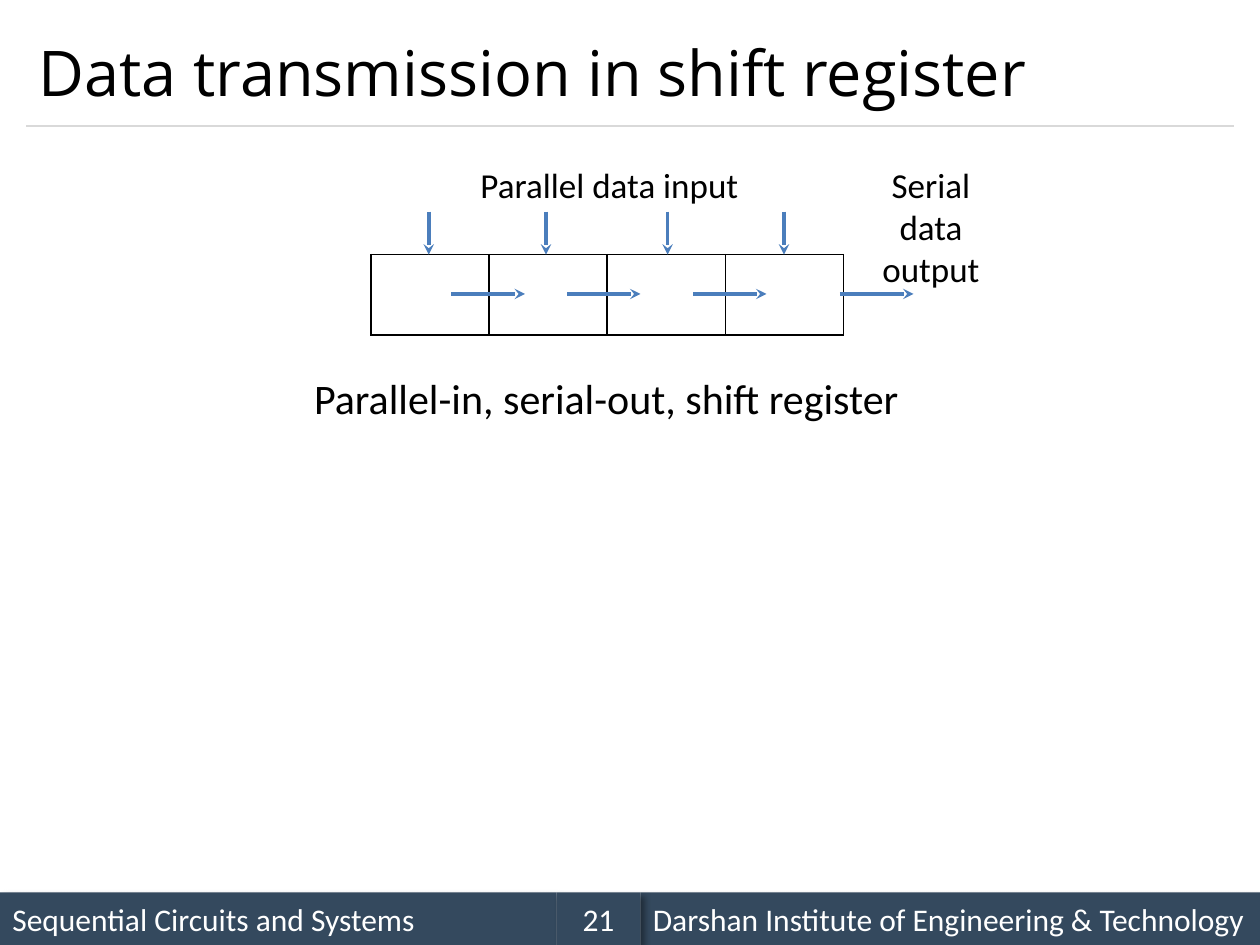
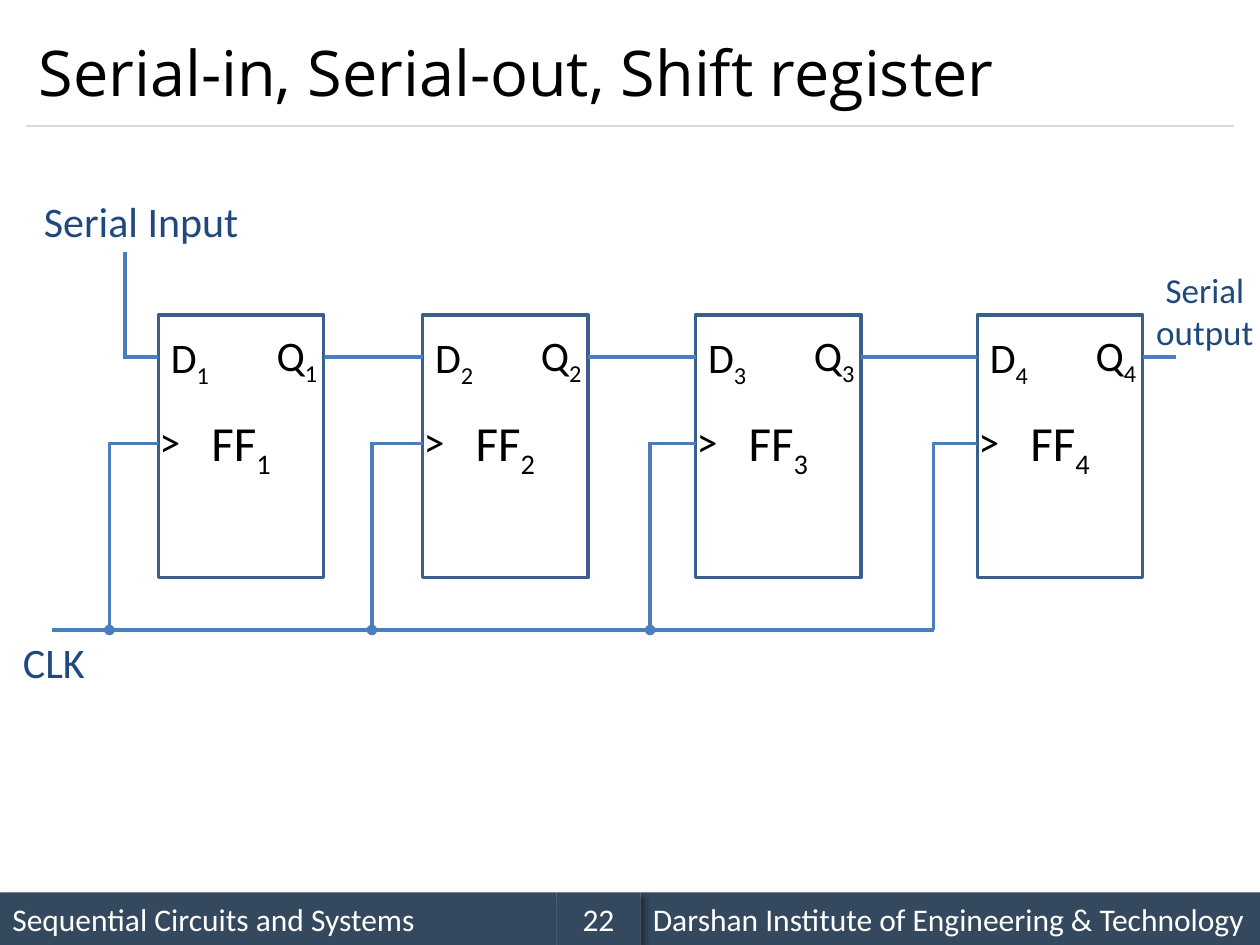
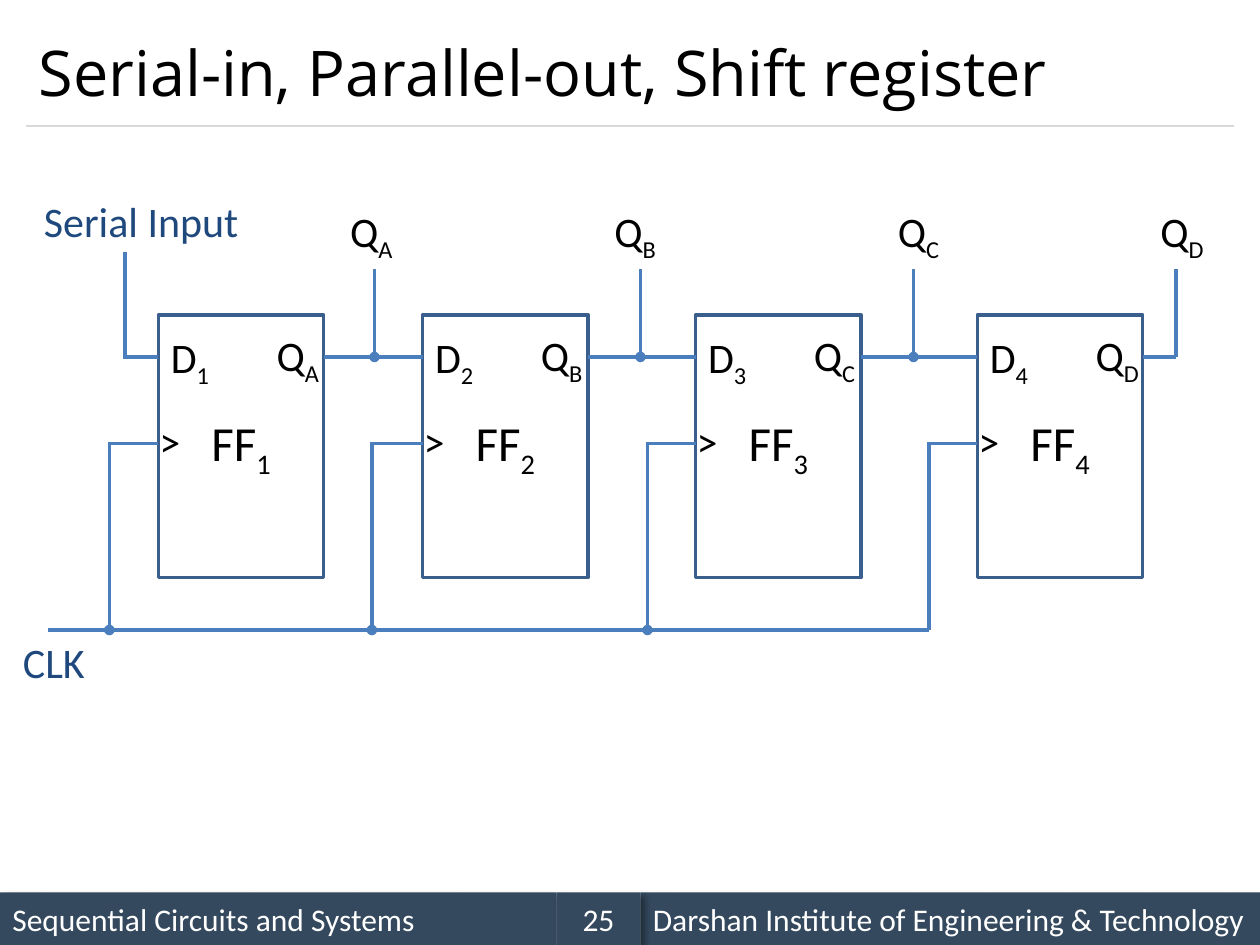
from lxml.etree import SubElement
from pptx import Presentation
from pptx.dml.color import RGBColor
from pptx.enum.shapes import MSO_CONNECTOR, MSO_SHAPE
from pptx.enum.text import MSO_ANCHOR, MSO_AUTO_SIZE, PP_ALIGN
from pptx.oxml import parse_xml
from pptx.oxml.ns import nsdecls, qn
from pptx.util import Pt

# Shared style
BLACK, WHITE = "000000", "FFFFFF"
BAND, RULE = "34495E", "D9D9D9"
WIRE, BOX, LABEL = "4B7EBC", "3A5F8C", "1F497D"
BODY_FONT, TITLE_FONT = "Calibri", "Open Sans"
LEFT, CENTER = PP_ALIGN.LEFT, PP_ALIGN.CENTER

# Footer bands: left, width, alignment, text (None is the page number)
FOOTER = [
    (0, 318, LEFT, "Sequential Circuits and Systems"),
    (366, 354, LEFT, "Darshan Institute of Engineering & Technology"),
    (318, 48, CENTER, None),
]

# Parallel-in, serial-out diagram: left, top, width, height, size, text
TRANSMISSION_LABELS = [
    (167, 209.5, 359, 36, 24, "Parallel-in, serial-out, shift register"),
    (494, 90, 76, 78.5, 20, "Serial data output"),
    (266.5, 90, 163.5, 31.5, 20, "Parallel data input"),
]
CELLS, CELL_W, CELL_H = 4, 67.5, 46
CELL_LEFT, CELL_TOP = 212, 145.5
SHIFT_STARTS, SHIFT_Y, SHIFT_LEN = (258, 324, 396, 480), 168, 42
INPUT_XS, INPUT_TOP = (245, 312, 381.5, 448), 121

# Flip-flop chains
FF_XS = (90.5, 241.5, 397.5, 558.5)
FF_TOP, FF_W, FF_H = 180, 94.5, 150
DATA_Y, CLOCK_Y, BUS_Y = 204, 253.5, 360
INPUT_X, INPUT_Y, OUTPUT_X = 71.5, 144, 672
TAP_TOP, TAP_LABEL_TOP = 153.5, 114

SERIAL_OUT = dict(outputs="1234", bus_left=30, drops=(62.5, 212.5, 371.5, 533.5))
PARALLEL_OUT = dict(outputs="ABCD", bus_left=27.5, drops=(62.5, 212.5, 370, 531))
TAPS = [(214, 193), (366, 344), (522, 506), (672, 656)]  # wire x, label left


def rgb(value):
    return RGBColor.from_string(value)


def add_run(p, text, size, color=BLACK, font=BODY_FONT, sub=False):
    r = p.add_run()
    r.text = text
    r.font.size, r.font.name = Pt(size), font
    r.font.color.rgb = rgb(color)
    if sub:
        r._r.get_or_add_rPr().set("baseline", "-25000")


def add_symbol(p, text, size, color=BLACK, index=""):
    add_run(p, text, size, color)
    if index:
        add_run(p, index, size, color, sub=True)


def add_text(s, x, y, w, h, text, size, color=BLACK, index="", wrap=False):
    sp = s.shapes.add_textbox(Pt(x), Pt(y), Pt(w), Pt(h))
    tf = sp.text_frame
    tf.word_wrap = wrap
    tf.auto_size = MSO_AUTO_SIZE.SHAPE_TO_FIT_TEXT
    p = tf.paragraphs[0]
    p.alignment = CENTER if wrap else LEFT
    add_symbol(p, text, size, color, index)


def add_rect(s, x, y, w, h, fill=None, line=None):
    sp = s.shapes.add_shape(MSO_SHAPE.RECTANGLE, Pt(x), Pt(y), Pt(w), Pt(h))
    sp.shadow.inherit = False
    if fill:
        sp.fill.solid()
        sp.fill.fore_color.rgb = rgb(fill)
    else:
        sp.fill.background()
    if line:
        sp.line.color.rgb = rgb(line)
        sp.line.width = Pt(2)
    else:
        sp.line.fill.background()
    sp.text_frame.vertical_anchor = MSO_ANCHOR.MIDDLE
    return sp


def add_line(s, x1, y1, x2, y2, head=None, tail=None, color=WIRE, width=2):
    c = s.shapes.add_connector(MSO_CONNECTOR.STRAIGHT, Pt(x1), Pt(y1), Pt(x2), Pt(y2))
    c.line.color.rgb = rgb(color)
    c.line.width = Pt(width)
    ln = c.line._get_or_add_ln()
    for tag, kind in (("a:headEnd", head), ("a:tailEnd", tail)):
        if kind:
            SubElement(ln, qn(tag), type=kind)
    SubElement(c._element.spPr, qn("a:effectLst"))


def add_band_shadow(sp):
    effects = sp._element.spPr.find(qn("a:effectLst"))
    effects.append(parse_xml(
        f'<a:outerShdw {nsdecls("a")} blurRad="{Pt(4)}" dist="{Pt(3)}" dir="2700000" '
        f'algn="tl" rotWithShape="0"><a:srgbClr val="{BLACK}"><a:alpha val="40000"/>'
        '</a:srgbClr></a:outerShdw>'))


def new_slide(prs, title, page):
    s = prs.slides.add_slide(prs.slide_layouts[5])
    # Title and rule
    sp = s.shapes.title
    sp.left, sp.top, sp.width, sp.height = Pt(15), Pt(9), Pt(690), Pt(63)
    tf = sp.text_frame
    tf.auto_size = MSO_AUTO_SIZE.NONE
    tf.vertical_anchor = MSO_ANCHOR.MIDDLE
    p = tf.paragraphs[0]
    p.alignment = LEFT
    add_run(p, title, 36, font=TITLE_FONT)
    add_line(s, 15, 72, 705, 72, color=RULE, width=0.75)
    # Footer
    for x, w, align, text in FOOTER:
        band = add_rect(s, x, 510, w, 30, fill=BAND)
        add_band_shadow(band)
        p = band.text_frame.paragraphs[0]
        p.alignment = align
        add_run(p, text or str(page), 18, WHITE)
    return s


def add_register(s):
    table = s.shapes.add_table(1, CELLS, Pt(CELL_LEFT), Pt(CELL_TOP),
                               Pt(CELLS * CELL_W), Pt(CELL_H)).table
    table.first_row = table.horz_banding = False
    for cell in table.iter_cells():
        tcPr = cell._tc.get_or_add_tcPr()
        for side in ("lnL", "lnR", "lnT", "lnB"):
            tcPr.append(parse_xml(
                f'<a:{side} {nsdecls("a")} w="{Pt(1)}"><a:solidFill>'
                f'<a:srgbClr val="{BLACK}"/></a:solidFill></a:{side}>'))
        cell.fill.background()


def add_flip_flop(s, x, number, output):
    sp = add_rect(s, x, FF_TOP, FF_W, FF_H, line=BOX)
    p = sp.text_frame.paragraphs[0]
    p.alignment = CENTER
    add_symbol(p, "FF", 28, index=number)
    add_text(s, x, 186, 37.5, 36, "D", 24, index=number)
    add_text(s, x + 60.5, 185, 39.5, 36, "Q", 24, index=output)
    add_text(s, x - 6.5, 234, 26.5, 36, ">", 24)


def add_chain(s, outputs, bus_left, drops):
    for i, (x, output) in enumerate(zip(FF_XS, outputs)):
        add_flip_flop(s, x, str(i + 1), output)
    # Clock bus and its branches
    add_line(s, bus_left, BUS_Y, drops[-1], BUS_Y)
    for x, drop in zip(FF_XS, drops):
        dot = None if drop == drops[-1] else "oval"
        add_line(s, drop, BUS_Y, drop, CLOCK_Y - 1, head=dot)
        add_line(s, drop - 0.5, CLOCK_Y, x, CLOCK_Y)
    # Data path
    add_line(s, INPUT_X, DATA_Y + 1, INPUT_X, INPUT_Y)
    add_line(s, INPUT_X, DATA_Y, FF_XS[0], DATA_Y)
    for x, end in zip(FF_XS, FF_XS[1:] + (OUTPUT_X,)):
        add_line(s, x + FF_W, DATA_Y, end, DATA_Y)
    add_text(s, 18, 108, 126.5, 36, "Serial Input", 24, LABEL)
    add_text(s, 6, 360, 50.5, 36, "CLK", 24, LABEL)


def main():
    prs = Presentation()
    prs.slide_width, prs.slide_height = Pt(720), Pt(540)

    # Data transmission
    s = new_slide(prs, "Data transmission in shift register", 21)
    add_register(s)
    for x in SHIFT_STARTS:
        add_line(s, x, SHIFT_Y, x + SHIFT_LEN, SHIFT_Y, tail="stealth")
    for x, y, w, h, size, text in TRANSMISSION_LABELS:
        add_text(s, x, y, w, h, text, size, wrap=True)
    for x in INPUT_XS:
        add_line(s, x, INPUT_TOP, x, CELL_TOP, tail="stealth")

    # Serial output
    s = new_slide(prs, "Serial-in, Serial-out, Shift register", 22)
    add_chain(s, **SERIAL_OUT)
    add_text(s, 651.5, 150, 74, 55.5, "Serial output", 20, LABEL, wrap=True)

    # Parallel output
    s = new_slide(prs, "Serial-in, Parallel-out, Shift register", 25)
    add_chain(s, **PARALLEL_OUT)
    for (x, label_x), output in zip(TAPS, PARALLEL_OUT["outputs"]):
        dot = None if x == OUTPUT_X else "oval"
        add_line(s, x, DATA_Y, x, TAP_TOP, head=dot)
        add_text(s, label_x, TAP_LABEL_TOP, 40, 36, "Q", 24, index=output)

    prs.save("out.pptx")


if __name__ == "__main__":
    main()
